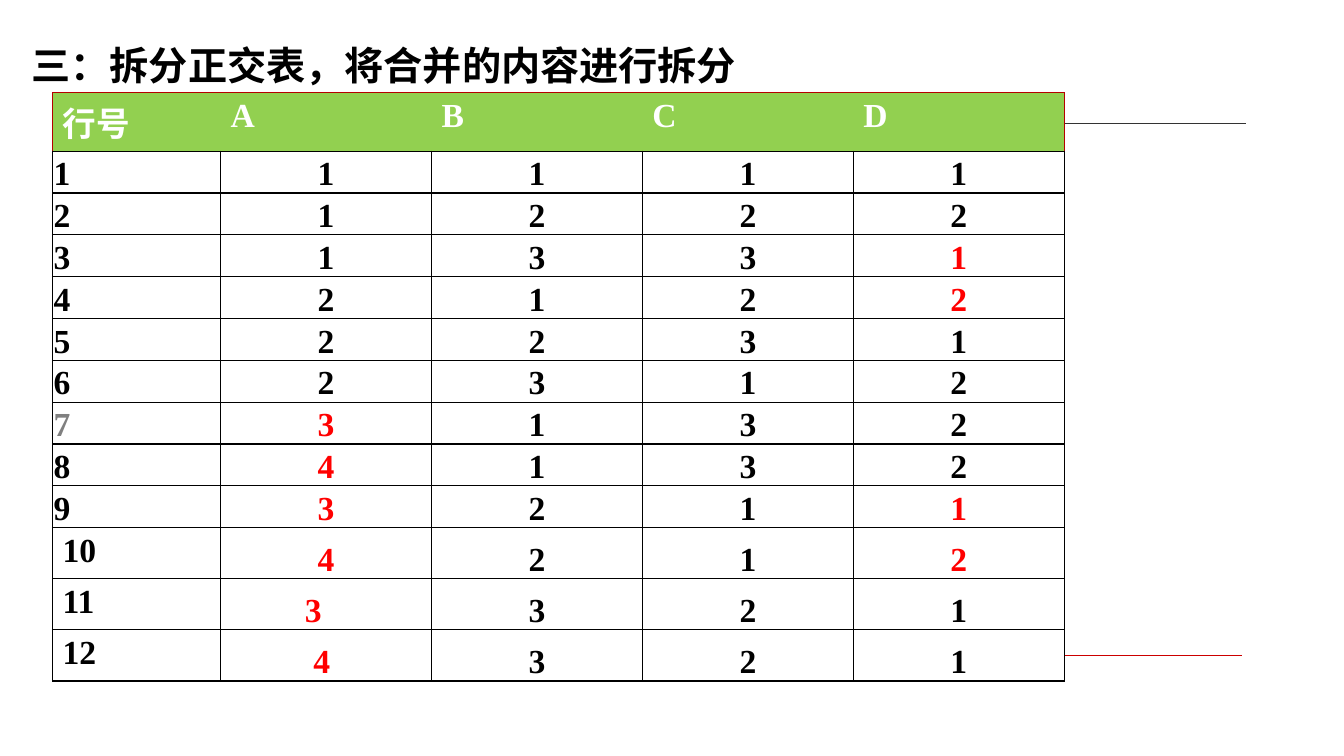
from lxml.etree import SubElement
from pptx import Presentation
from pptx.dml.color import RGBColor
from pptx.enum.shapes import MSO_CONNECTOR
from pptx.enum.text import MSO_ANCHOR, PP_ALIGN
from pptx.oxml.ns import qn
from pptx.util import Pt

COLORS = {
    "black": "000000",
    "white": "FFFFFF",
    "green": "92D050",
    "red": "FF0000",
    "gray": "808080",
    "rule": "333333",
    "accent": "CC0000",
    "edge": "B50000",
}
SANS = "Noto Sans CJK SC"
SERIF = "Times New Roman"

HEADINGS = ["行号", "A", "B", "C", "D"]
LEVELS = ["1111", "1222", "1331", "2122", "2231", "2312",
          "3132", "4132", "3211", "4212", "3321", "4321"]
SPLIT_CELLS = {(3, 4), (4, 4), (7, 1), (8, 1), (9, 1), (9, 4),
               (10, 1), (10, 4), (11, 1), (12, 1)}
GRAY_ROW = 7
FIRST_TALL_ROW = 10
RIGHT_INSETS = {(11, 1): 18.75, (12, 1): 6.75}


class SlideWriter:
    def __init__(self, page):
        self.page = page

    def color(self, name):
        return RGBColor.from_string(COLORS[name])

    def span(self, para, text, size, font, color):
        run = para.add_run()
        run.text = text
        run.font.size = Pt(size)
        run.font.bold = True
        run.font.name = font
        run.font.color.rgb = self.color(color)
        SubElement(run.font._element, qn("a:ea"), typeface=SANS)

    def title(self, text, left, top, width, height):
        box = self.page.shapes.add_textbox(Pt(left), Pt(top), Pt(width), Pt(height))
        box.text_frame.word_wrap = True
        para = box.text_frame.paragraphs[0]
        para.line_spacing = 1.5
        self.span(para, text, 28, SANS, "black")

    def line(self, left, right, height, color, weight):
        line = self.page.shapes.add_connector(
            MSO_CONNECTOR.STRAIGHT, Pt(left), Pt(height), Pt(right), Pt(height))
        line.line.color.rgb = self.color(color)
        line.line.width = Pt(weight)
        SubElement(line._element.spPr, qn("a:effectLst"))

    def title_rule(self, left, top, bar_right, right, thickness):
        builder = self.page.shapes.build_freeform(Pt(left), Pt(top))
        bottom = top + thickness
        corners = [(bar_right, top), (bar_right, bottom), (left, bottom)]
        builder.add_line_segments([(Pt(x), Pt(y)) for x, y in corners], close=True)
        builder.move_to(Pt(left), Pt(top))
        builder.add_line_segments([(Pt(right), Pt(top))], close=False)
        rule = builder.convert_to_shape()
        rule.shadow.inherit = False
        rule.fill.solid()
        rule.fill.fore_color.rgb = self.color("accent")
        rule.line.color.rgb = self.color("rule")
        rule.line.width = Pt(0.75)

    def borders(self, cell, sides):
        properties = cell._tc.get_or_add_tcPr()
        for side in "LRTB":
            color, weight = sides.get(side, ("black", 1))
            border = SubElement(properties, qn(f"a:ln{side}"), w=str(Pt(weight)))
            if color is None:
                SubElement(border, qn("a:noFill"))
            else:
                fill = SubElement(border, qn("a:solidFill"))
                SubElement(fill, qn("a:srgbClr"), val=COLORS[color])

    def cell(self, cell, text, color, fill, sides):
        self.borders(cell, sides)
        cell.fill.solid()
        cell.fill.fore_color.rgb = self.color(fill)
        para = cell.text_frame.paragraphs[0]
        self.span(para, text, 24, SERIF, color)
        return para

    def tight(self, cell, right):
        cell.vertical_anchor = MSO_ANCHOR.BOTTOM
        cell.margin_left = cell.margin_top = Pt(0.75)
        cell.margin_right = Pt(right)
        cell.margin_bottom = Pt(0)

    def table(self, left, top, widths, heights):
        frame = self.page.shapes.add_table(
            len(heights), len(widths), Pt(left), Pt(top),
            Pt(sum(widths)), Pt(sum(heights)))
        table = frame.table
        table.first_row = table.horz_banding = False
        for column, width in zip(table.columns, widths):
            column.width = Pt(width)
        for row, height in zip(table.rows, heights):
            row.height = Pt(height)
        return table


def fill_table(writer, table):
    last = len(HEADINGS) - 1
    edge, none = ("edge", 0.75), (None, 1)
    for column, heading in enumerate(HEADINGS):
        sides = {"T": edge,
                 "L": edge if column == 0 else none,
                 "R": edge if column == last else none}
        writer.cell(table.cell(0, column), heading, "white", "green", sides)

    for row, levels in enumerate(LEVELS, 1):
        for column, text in enumerate([str(row), *levels]):
            color = "red" if (row, column) in SPLIT_CELLS else "black"
            if column == 0 and row == GRAY_ROW:
                color = "gray"
            cell = table.cell(row, column)
            para = writer.cell(cell, text, color, "white", {})
            if column > 0:
                para.alignment = PP_ALIGN.CENTER
            if column > 0 or row < FIRST_TALL_ROW:
                writer.tight(cell, RIGHT_INSETS.get((row, column), 0.75))


def main():
    deck = Presentation()
    deck.slide_width, deck.slide_height = Pt(960), Pt(540)
    writer = SlideWriter(deck.slides.add_slide(deck.slide_layouts[6]))
    writer.title_rule(54.75, 88.5, 543.6, 890, 8.64)
    writer.line(54.75, 887, 468.3, "accent", 0.25)
    writer.title("三：拆分正交表，将合并的内容进行拆分", 15.4, 9.4, 840, 336)
    table = writer.table(37.5, 66.25, [120] + [150.7] * 4,
                         [41.8] + [29.9] * 9 + [36.5] * 3)
    fill_table(writer, table)
    deck.save("out.pptx")


if __name__ == "__main__":
    main()
